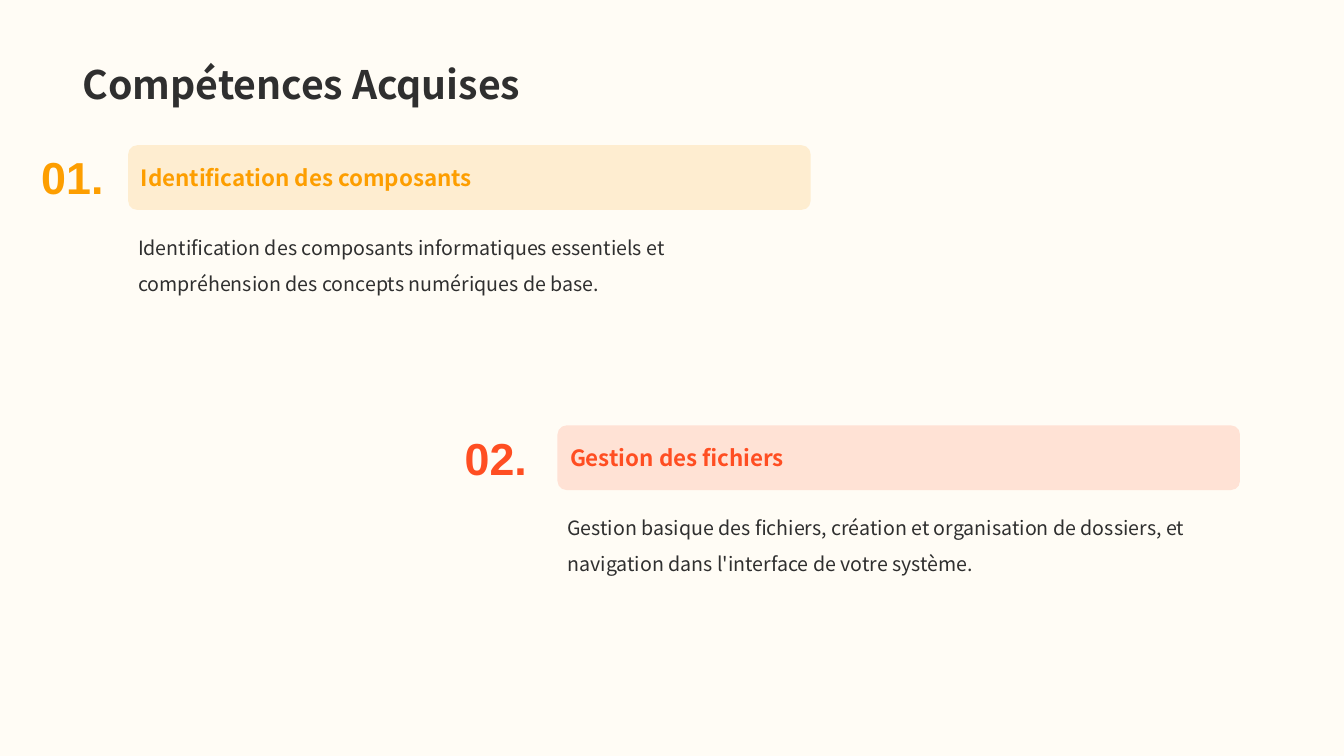
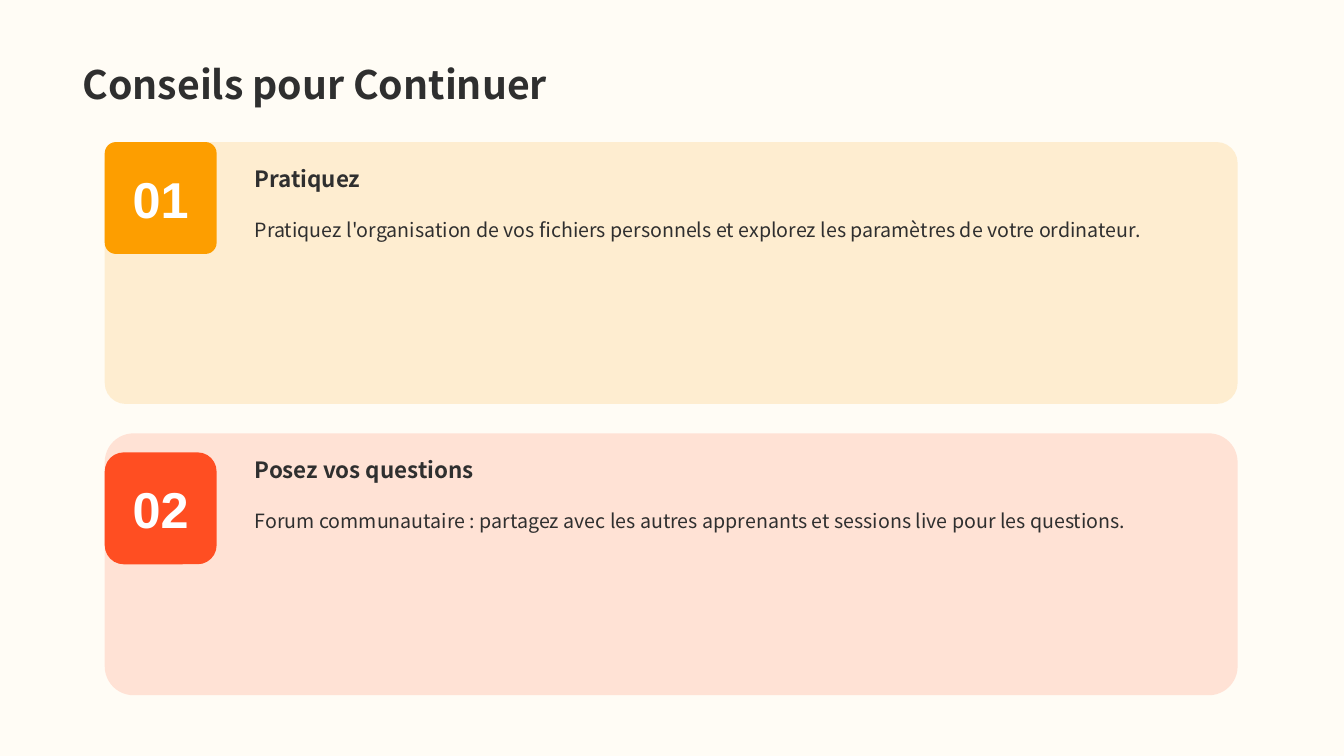
"""Build two slides on the skills gained and the advice for going on."""
from dataclasses import dataclass

from lxml import etree
from pptx import Presentation
from pptx.dml.color import RGBColor
from pptx.enum.shapes import MSO_SHAPE
from pptx.enum.text import MSO_ANCHOR, MSO_AUTO_SIZE, PP_ALIGN
from pptx.oxml.ns import qn
from pptx.shapes.autoshape import Shape
from pptx.slide import Slide, SlideLayout
from pptx.util import Cm, Pt

ROUND = MSO_SHAPE.ROUNDED_RECTANGLE
TOP, MIDDLE, BOTTOM = MSO_ANCHOR.TOP, MSO_ANCHOR.MIDDLE, MSO_ANCHOR.BOTTOM
LEFT, CENTER = PP_ALIGN.LEFT, PP_ALIGN.CENTER
GROW, FIXED = MSO_AUTO_SIZE.SHAPE_TO_FIT_TEXT, MSO_AUTO_SIZE.NONE

COLORS = {
    "paper": "FFFCF5",
    "ink": "2F2F2F",
    "amber": "FD9E00",
    "coral": "FF4E22",
    "white": "FFFFFF",
}
SANS, DIGIT = "Noto Sans CJK SC", "Arial"
TINT = 15


@dataclass
class Box:
    left: float
    top: float
    width: float
    height: float


@dataclass
class Style:
    size: int
    color: str = "ink"
    bold: bool = False
    font: str = SANS
    line: float = 1.0
    align: PP_ALIGN = LEFT
    anchor: MSO_ANCHOR = TOP
    wrap: bool = True


@dataclass
class Skill:
    mark: str
    head: str
    body: str
    color: str
    left: float
    top: float
    gap: float


@dataclass
class Tip:
    mark: str
    head: str
    body: str
    color: str
    curve: float
    drop: float
    bend: float


TITLE = Style(28, bold=True, line=0.9, anchor=BOTTOM)

SKILLS = [
    Skill("01.", "Identification des composants",
          "Identification des composants informatiques essentiels et "
          "compréhension des concepts numériques de base.",
          "amber", 3.23, 3.66, 2.44),
    Skill("02.", "Gestion des fichiers",
          "Gestion basique des fichiers, création et organisation de dossiers, et "
          "navigation dans l'interface de votre système.",
          "coral", 14.05, 10.72, 2.59),
]

TIPS = [
    Tip("01", "Pratiquez",
        "Pratiquez l'organisation de vos fichiers personnels et explorez les "
        "paramètres de votre ordinateur.",
        "amber", 0.08, 0, 0.1),
    Tip("02", "Posez vos questions",
        "Forum communautaire : partagez avec les autres apprenants et sessions "
        "live pour les questions.",
        "coral", 0.11, 0.48, 0.17),
]


def shade(name: str) -> RGBColor:
    return RGBColor.from_string(COLORS[name])


def place(box: Box) -> tuple[Cm, Cm, Cm, Cm]:
    return Cm(box.left), Cm(box.top), Cm(box.width), Cm(box.height)


def write(shape: Shape, text: str, style: Style) -> None:
    frame = shape.text_frame
    frame.text = text
    frame.word_wrap = style.wrap
    frame.vertical_anchor = style.anchor
    for para in frame.paragraphs:
        para.alignment = style.align
        para.line_spacing = style.line
        for run in para.runs:
            run.font.name = style.font
            run.font.size = Pt(style.size)
            run.font.bold = style.bold
            run.font.color.rgb = shade(style.color)


def add_text(slide: Slide, box: Box, text: str, style: Style) -> None:
    shape = slide.shapes.add_textbox(*place(box))
    write(shape, text, style)
    shape.text_frame.auto_size = GROW


def add_panel(slide: Slide, box: Box, color: str, curve: float, tint: int = 100) -> Shape:
    panel = slide.shapes.add_shape(ROUND, *place(box))
    panel.adjustments[0] = curve
    panel.shadow.inherit = False
    panel.line.fill.background()
    panel.fill.solid()
    panel.fill.fore_color.rgb = shade(color)
    if tint < 100:
        fill = panel.element.spPr.find(qn("a:solidFill")).find(qn("a:srgbClr"))
        etree.SubElement(fill, qn("a:alpha")).set("val", str(tint * 1000))
    return panel


def add_page(deck: Presentation, layout: SlideLayout, title: str) -> Slide:
    slide = deck.slides.add_slide(layout)
    write(slide.shapes.title, title, TITLE)
    slide.shapes.title.text_frame.auto_size = FIXED
    return slide


def add_skill(slide: Slide, skill: Skill) -> None:
    left, top, width, height = skill.left, skill.top, 17.2, 1.63
    add_text(slide, Box(left - skill.gap, top, 2.08, height), skill.mark,
             Style(32, skill.color, True, DIGIT, wrap=False))
    band = add_panel(slide, Box(left, top, width, height), skill.color, 0.14, TINT)
    write(band, skill.head, Style(16, skill.color, True, anchor=MIDDLE))
    add_text(slide, Box(left, top + 1.87, width, 2.84), skill.body, Style(14, line=1.5))


def add_tip(slide: Slide, tip: Tip, top: float) -> None:
    left, inner, width, side = 2.64, 6.17, 24.21, 2.82
    add_panel(slide, Box(left, top, 28.55, 6.6), tip.color, tip.curve, TINT)
    add_text(slide, Box(inner, top + 0.44, width, 0.94), tip.head,
             Style(16, bold=True, anchor=BOTTOM))
    add_text(slide, Box(inner, top + 1.61, width, 2.51), tip.body, Style(14, line=1.3))
    badge = add_panel(slide, Box(left, top + tip.drop, side, side), tip.color, tip.bend)
    write(badge, tip.mark,
          Style(36, "white", True, DIGIT, align=CENTER, anchor=MIDDLE, wrap=False))
    frame = badge.text_frame
    frame.margin_left = frame.margin_right = Cm(0.3)
    frame.margin_top = frame.margin_bottom = Cm(0.3)


def main() -> None:
    deck = Presentation()
    deck.slide_width, deck.slide_height = Cm(33.87), Cm(19.05)
    paper = deck.slide_master.background.fill
    paper.solid()
    paper.fore_color.rgb = shade("paper")
    layout = deck.slide_layouts.get_by_name("Title Only")
    title = layout.placeholders[0]
    title.left, title.top, title.width, title.height = place(Box(1.83, 0, 30.18, 2.84))

    slide = add_page(deck, layout, "Compétences Acquises")
    for skill in SKILLS:
        add_skill(slide, skill)

    slide = add_page(deck, layout, "Conseils pour Continuer")
    for row, tip in enumerate(TIPS):
        add_tip(slide, tip, 3.58 + row * 7.34)

    deck.save("out.pptx")


if __name__ == "__main__":
    main()
